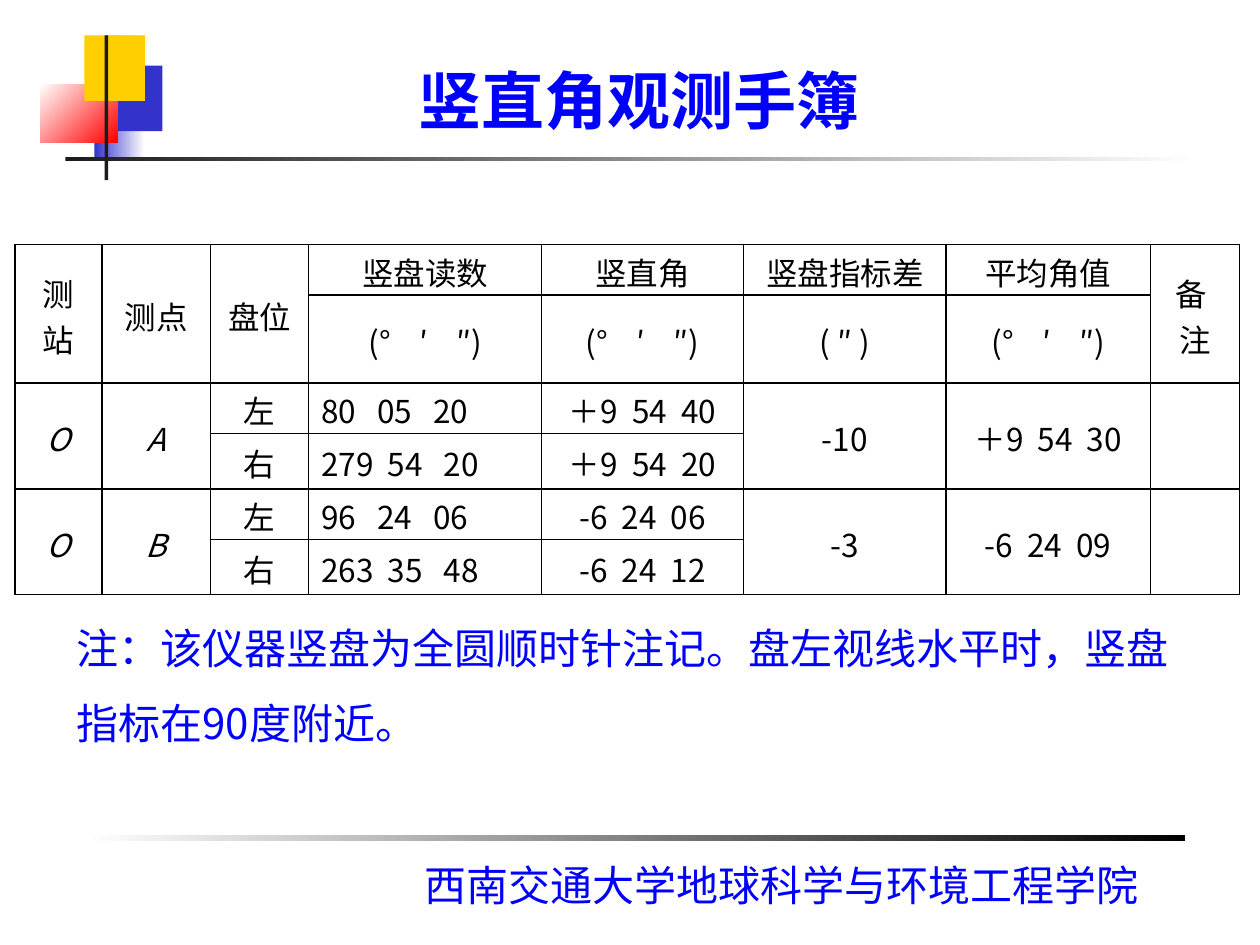
import dataclasses

import lxml.etree
import pptx
import pptx.dml.color
import pptx.enum.shapes
import pptx.enum.text
import pptx.oxml.ns
import pptx.util

ALIGN = pptx.enum.text.PP_ALIGN
ANCHOR = pptx.enum.text.MSO_ANCHOR
FIT = pptx.enum.text.MSO_AUTO_SIZE
GRID_COLUMNS, GRID_ROWS = 100, 75
SLIDE_WIDTH, SLIDE_HEIGHT = pptx.util.Inches(10), pptx.util.Inches(7.5)


@dataclasses.dataclass(frozen=True)
class Theme:
    font: str = "Noto Sans CJK SC"
    accent: str = "0000FF"
    black: str = "000000"
    dark: str = "1C1C1C"
    white: str = "FFFFFF"
    indigo: str = "3333CC"
    yellow: str = "FFCF01"
    red: str = "FF0000"
    title_size: int = 36
    note_size: int = 24
    cell_size: int = 18
    border: int = 1


THEME = Theme()


def rgb(value):
    return pptx.dml.color.RGBColor.from_string(value)


def across(columns):
    return round(SLIDE_WIDTH * columns / GRID_COLUMNS)


def down(rows):
    return round(SLIDE_HEIGHT * rows / GRID_ROWS)


def place(box):
    left, top, width, height = box
    return across(left), down(top), across(width), down(height)


def within(box, part):
    return box[0] + part[0], box[1] + part[1], part[2], part[3]


def write_text(frame, text, size, color=THEME.black, bold=False, italic=False,
               align=ALIGN.LEFT, spacing=None):
    paragraph = frame.paragraphs[0]
    paragraph.alignment = align
    if spacing:
        paragraph.line_spacing = spacing
    run = paragraph.add_run()
    run.text = text
    run.font.name = THEME.font
    run.font.size = pptx.util.Pt(size)
    run.font.bold = bold
    run.font.italic = italic
    run.font.color.rgb = rgb(color)
    east_asian = pptx.oxml.ns.qn("a:ea")
    lxml.etree.SubElement(run.font._element, east_asian, typeface=THEME.font)


def add_text(slide, box, text, anchor=ANCHOR.TOP, fit=FIT.NONE, **text_format):
    frame = slide.shapes.add_textbox(*place(box)).text_frame
    frame.word_wrap = True
    frame.auto_size = fit
    frame.vertical_anchor = anchor
    write_text(frame, text, **text_format)


def add_block(slide, box, start, end=None, angle=0, outline=None):
    block = slide.shapes.add_shape(
        pptx.enum.shapes.MSO_SHAPE.RECTANGLE, *place(box))
    block.shadow.inherit = False
    if end:
        block.fill.gradient()
        block.fill.gradient_angle = angle
        for stop, color in zip(block.fill.gradient_stops, (start, end)):
            stop.color.rgb = rgb(color)
    else:
        block.fill.solid()
        block.fill.fore_color.rgb = rgb(start)
    if outline:
        block.line.color.rgb = rgb(outline)
        block.line.width = pptx.util.Pt(THEME.border)
    else:
        block.line.fill.background()


def build_emblem(slide, box):
    for part, start, end, angle in (
        ((4.3, 4.8, 4, 5.2), THEME.indigo, THEME.white, 0),
        ((5.1, 0, 3.6, 5.2), THEME.yellow, THEME.white, 0),
        ((5.1, 2.4, 4.6, 5.2), THEME.indigo, None, 0),
        ((0, 3.9, 6.1, 4.6), THEME.white, THEME.red, 315),
        ((2, 9.7, 90, 0.3), THEME.dark, THEME.white, 0),
        ((3.5, 0, 4.8, 5.2), THEME.yellow, None, 0),
        ((5.1, 0, 0.3, 11.5), THEME.dark, None, 0),
    ):
        add_block(slide, within(box, part), start, end, angle)


def build_footer(slide, box):
    add_block(slide, within(box, (0, 0, 87.4, 0.6)), THEME.white, THEME.black,
              outline=THEME.white)
    add_text(slide, within(box, (26, 1.5, 59.1, 5.1)),
             "西南交通大学地球科学与环境工程学院", fit=FIT.SHAPE_TO_FIT_TEXT,
             size=THEME.note_size, color=THEME.accent)


def style_cell(cell):
    cell.fill.background()
    cell.vertical_anchor = ANCHOR.MIDDLE
    cell.margin_left = cell.margin_right = across(1)
    cell.margin_top, cell.margin_bottom = down(0.3), 0
    properties = cell._tc.get_or_add_tcPr()
    for index, side in enumerate(("lnL", "lnR", "lnT", "lnB")):
        edge = lxml.etree.Element(
            pptx.oxml.ns.qn(f"a:{side}"), w=str(pptx.util.Pt(THEME.border)))
        fill = lxml.etree.SubElement(edge, pptx.oxml.ns.qn("a:solidFill"))
        lxml.etree.SubElement(
            fill, pptx.oxml.ns.qn("a:srgbClr"), val=THEME.black)
        properties.insert(index, edge)


def build_field_book(slide, box):
    angle_unit = "(°    ′    ″)"
    records = (
        ("测站", "测点", "盘位", "竖盘读数", "竖直角", "竖盘指标差", "平均角值", "备  注"),
        ("", "", "", angle_unit, angle_unit, "( ″ )", angle_unit, ""),
        ("O", "A", "左", "80   05   20", "＋9  54  40", "-10", "＋9  54  30", ""),
        ("", "", "右", "279  54   20", "＋9  54  20", "", "", ""),
        ("O", "B", "左", "96   24   06", "-6  24  06", "-3", "-6  24  09", ""),
        ("", "", "右", "263  35   48", "-6  24  12", "", "", ""),
    )
    widths = (6.9, 8.6, 7.8, 18.5, 16, 16.1, 16.2, 7.1)
    heights = (4, 7, 4, 4.4, 4, 4.4)
    reading_column = 3
    merged_columns = {0: (0, 1, 2, 7), 2: (0, 1, 5, 6, 7), 4: (0, 1, 5, 6, 7)}
    book = slide.shapes.add_table(len(heights), len(widths), *place(box)).table
    book.first_row = book.horz_banding = False
    for column, width in zip(book.columns, widths):
        column.width = across(width)
    for row, height in zip(book.rows, heights):
        row.height = down(height)
    for r, record in enumerate(records):
        for c, text in enumerate(record):
            cell = book.cell(r, c)
            style_cell(cell)
            if text:
                reading = r > 1 and c == reading_column
                write_text(cell.text_frame, text, size=THEME.cell_size,
                           italic=r > 1 and c < 2,
                           align=ALIGN.LEFT if reading else ALIGN.CENTER)
    for r, columns in merged_columns.items():
        for c in columns:
            book.cell(r, c).merge(book.cell(r + 1, c))


def build_note(slide, box):
    add_text(slide, box,
             "注：该仪器竖盘为全圆顺时针注记。盘左视线水平时，竖盘指标在90度附近。",
             fit=FIT.SHAPE_TO_FIT_TEXT, size=THEME.note_size,
             color=THEME.accent, spacing=1.5)


def build_title(slide, box):
    add_text(slide, box, "竖直角观测手簿", anchor=ANCHOR.BOTTOM,
             size=THEME.title_size, color=THEME.accent, bold=True,
             align=ALIGN.CENTER)


def main():
    deck = pptx.Presentation()
    deck.slide_width, deck.slide_height = SLIDE_WIDTH, SLIDE_HEIGHT
    slide = deck.slides.add_slide(deck.slide_layouts[6])
    build_emblem(slide, (3.2, 2.8, 92, 11.5))
    build_footer(slide, (6.7, 66.2, 87.4, 6.6))
    build_field_book(slide, (1.2, 19.4, 97.2, 27.8))
    build_note(slide, (5.1, 46.9, 89, 13.1))
    build_title(slide, (9, 3.6, 83.5, 7.8))
    deck.save("out.pptx")


if __name__ == "__main__":
    main()
